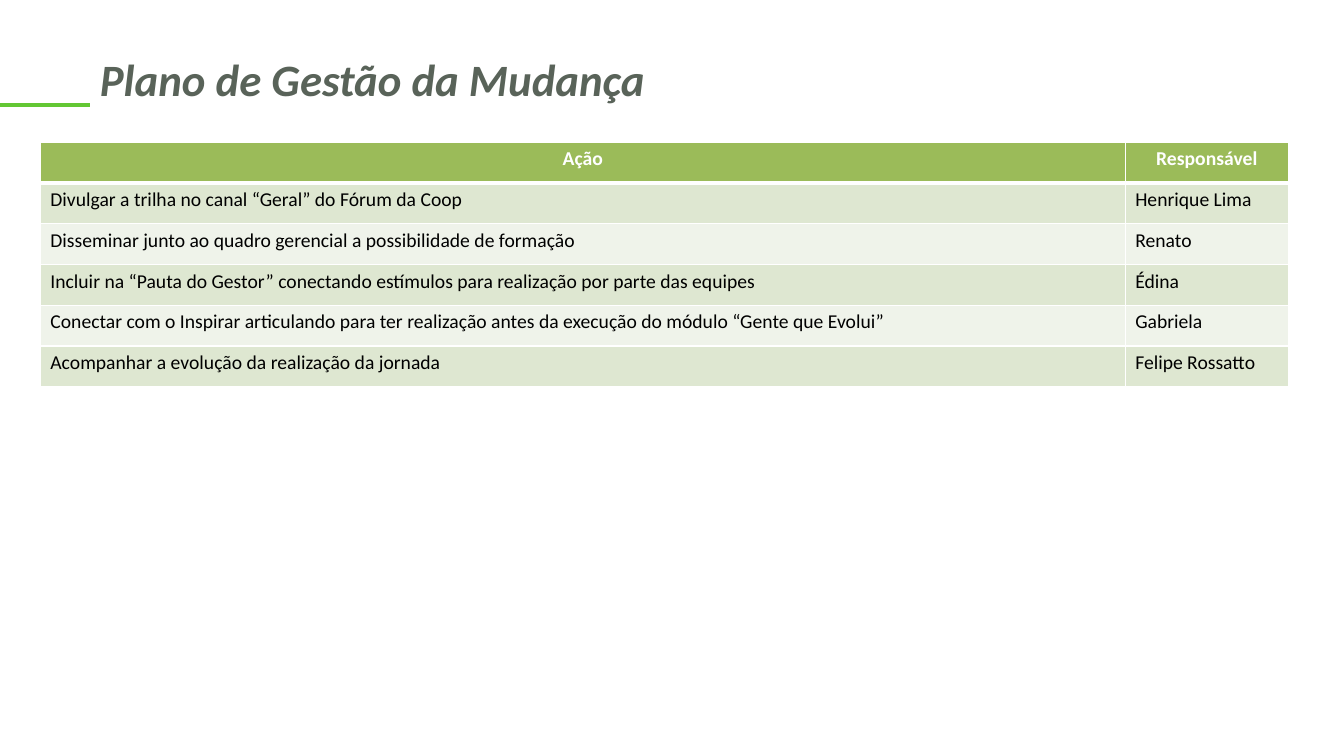
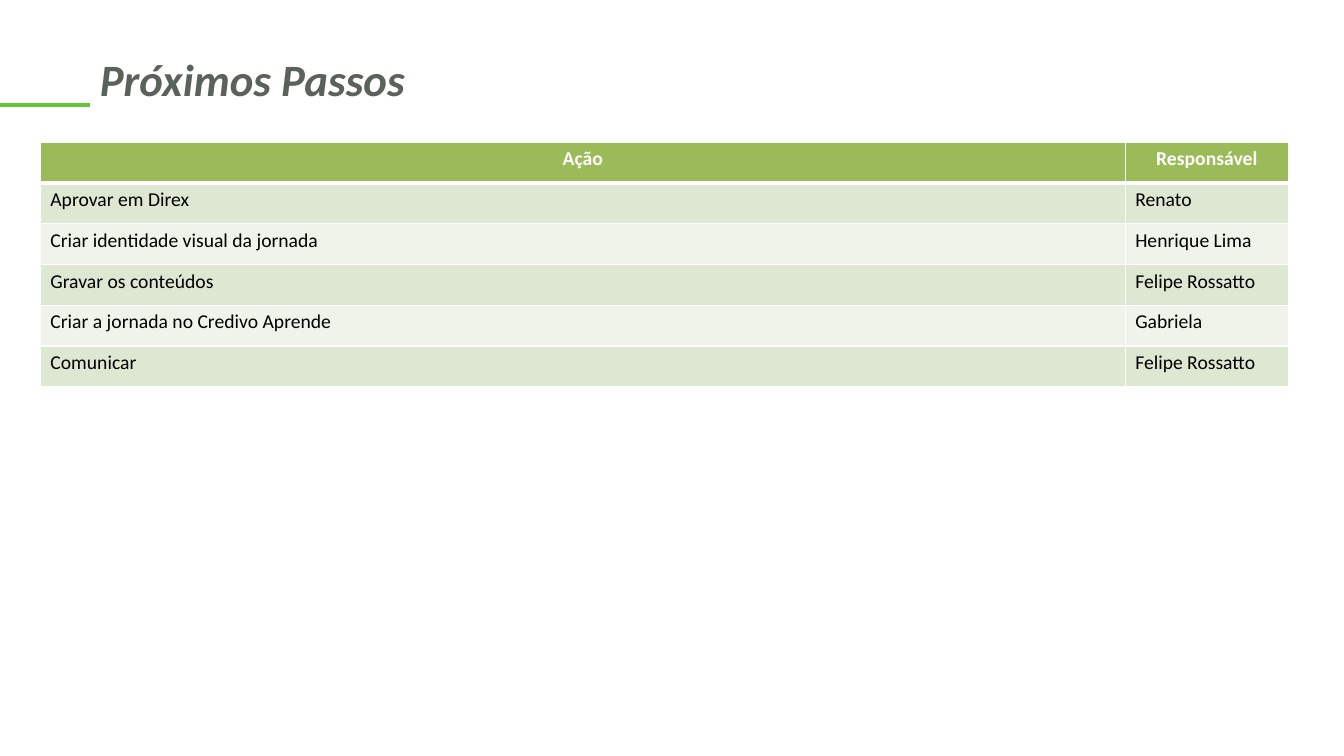
from dataclasses import dataclass

from lxml.etree import SubElement
from pptx import Presentation
from pptx.dml.color import RGBColor as Color
from pptx.enum.shapes import MSO_CONNECTOR as Connector
from pptx.enum.text import MSO_ANCHOR as Anchor, MSO_AUTO_SIZE as AutoSize, PP_ALIGN as Align
from pptx.oxml.ns import qn
from pptx.util import Inches, Pt


@dataclass(frozen=True)
class Theme:
    font: str = "Calibri"
    title_size: int = 32
    table_size: int = 14
    title: str = "596359"
    accent: str = "63C733"
    header: str = "9BBB59"
    bands: tuple = ("DEE7D1", "EFF3EA")
    white: str = "FFFFFF"
    black: str = "000000"


theme = Theme()


def style(para, size, color, bold=False, italic=False, align=Align.LEFT):
    para.alignment = align
    font = para.font
    font.name, font.size = theme.font, Pt(size)
    font.bold, font.italic = bold, italic
    font.color.rgb = Color.from_string(color)


def set_borders(cell, widths):
    properties = cell._tc.get_or_add_tcPr()
    for position, (side, width) in enumerate(widths.items()):
        line = properties.makeelement(qn(f"a:{side}"), {"w": str(Pt(width))})
        fill = SubElement(line, qn("a:solidFill"))
        SubElement(fill, qn("a:srgbClr"), val=theme.white)
        properties.insert(position, line)


column_names = ("Ação", "Responsável")
column_widths = (10.76, 1.62)
row_height = 0.405

plans = [
    ("Plano de Gestão da Mudança", 6.4, [
        ("Divulgar a trilha no canal “Geral” do Fórum da Coop", "Henrique Lima"),
        ("Disseminar junto ao quadro gerencial a possibilidade de formação", "Renato"),
        ("Incluir na “Pauta do Gestor” conectando estímulos para realização por parte das equipes", "Édina"),
        ("Conectar com o Inspirar articulando para ter realização antes da execução do módulo “Gente que Evolui”",
         "Gabriela"),
        ("Acompanhar a evolução da realização da jornada", "Felipe Rossatto"),
    ]),
    ("Próximos Passos", 3.79, [
        ("Aprovar em Direx", "Renato"),
        ("Criar identidade visual da jornada", "Henrique Lima"),
        ("Gravar os conteúdos", "Felipe Rossatto"),
        ("Criar a jornada no Credivo Aprende", "Gabriela"),
        ("Comunicar", "Felipe Rossatto"),
    ]),
]

deck = Presentation()
deck.slide_width, deck.slide_height = Inches(13.33), Inches(7.5)
title_only = deck.slide_layouts[5]

for heading, heading_width, actions in plans:
    page = deck.slides.add_slide(title_only)

    title = page.shapes.title
    title.left, title.top = Inches(0.89), Inches(0.46)
    title.width, title.height = Inches(heading_width), Inches(0.64)
    frame = title.text_frame
    frame.text = heading
    frame.word_wrap = False
    frame.auto_size = AutoSize.SHAPE_TO_FIT_TEXT
    frame.vertical_anchor = Anchor.TOP
    style(frame.paragraphs[0], theme.title_size, theme.title, bold=True, italic=True)

    rule = page.shapes.add_connector(
        Connector.STRAIGHT, Inches(0), Inches(1.04), Inches(0.89), Inches(1.04))
    rule.line.color.rgb = Color.from_string(theme.accent)
    rule.line.width = Pt(3)
    SubElement(rule._element.spPr, qn("a:effectLst"))

    rows = [column_names, *actions]
    table = page.shapes.add_table(
        len(rows), len(column_names), Inches(0.4), Inches(1.41),
        Inches(sum(column_widths)), Inches(row_height * len(rows))).table
    for column, width in zip(table.columns, column_widths):
        column.width = Inches(width)

    for row_index, values in enumerate(rows):
        is_header = row_index == 0
        for column_index, value in enumerate(values):
            cell = table.cell(row_index, column_index)
            cell.text = value
            cell.fill.solid()
            cell.fill.fore_color.rgb = Color.from_string(
                theme.header if is_header else theme.bands[(row_index - 1) % 2])
            set_borders(cell, {
                "lnL": 1, "lnR": 1,
                "lnT": 3 if row_index == 1 else 1,
                "lnB": 3 if is_header else 1,
            })
            style(cell.text_frame.paragraphs[0], theme.table_size,
                  theme.white if is_header else theme.black, bold=is_header,
                  align=Align.CENTER if is_header else Align.LEFT)

deck.save("out.pptx")
